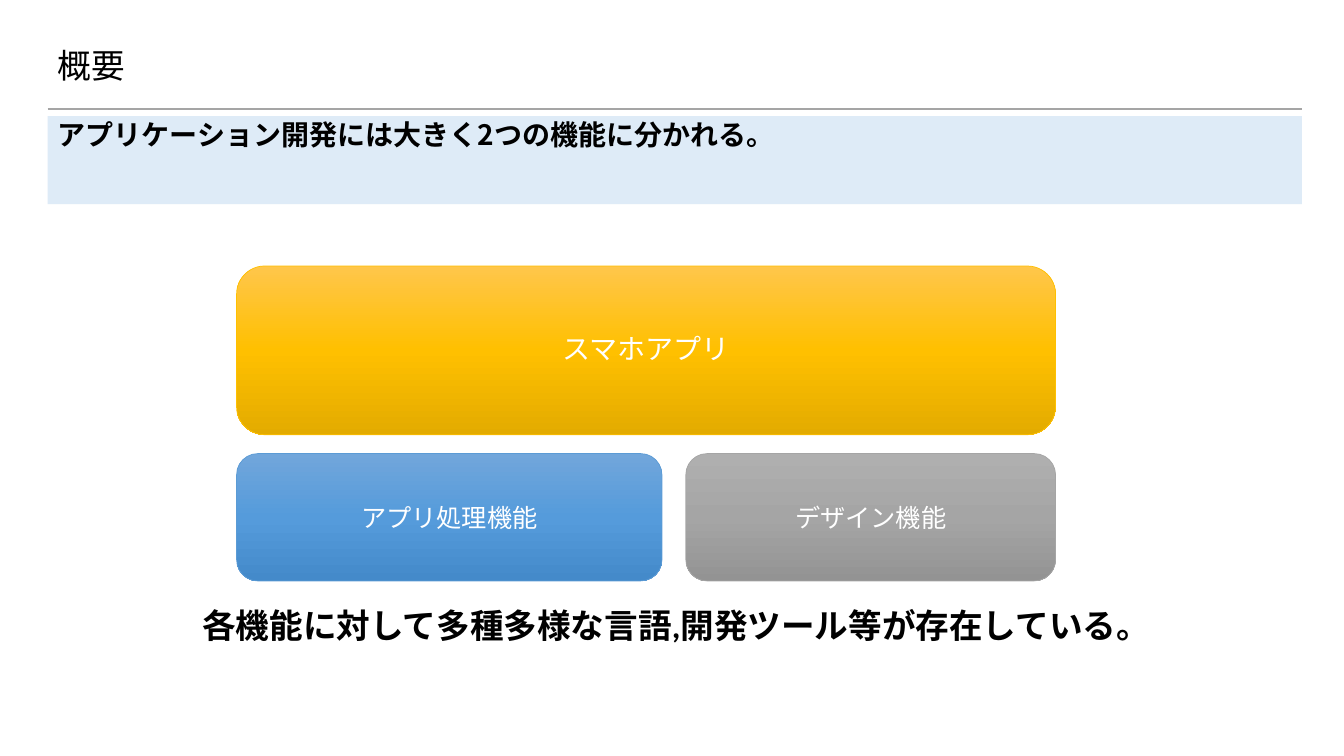
import copy
from dataclasses import dataclass

import lxml.etree
import pptx
import pptx.dml.color
import pptx.enum.lang
import pptx.enum.shapes
import pptx.enum.text
import pptx.oxml.ns
import pptx.util

Pt = pptx.util.Pt
SHAPES = pptx.enum.shapes.MSO_SHAPE
ALIGN = pptx.enum.text.PP_ALIGN
ANCHOR = pptx.enum.text.MSO_ANCHOR


@dataclass(frozen=True)
class Theme:
    """Colours, fonts and type sizes of the deck."""
    ink: str = "000000"
    white: str = "FFFFFF"
    rule: str = "A5A5A5"
    banner: str = "DEEBF7"
    gold: tuple = ("FFC64B", "FFC000", "E3AB00", "FFC000")
    blue: tuple = ("71A6DB", "559BDB", "448ACA", "5B9BD5")
    grey: tuple = ("AFAFAF", "A5A5A5", "939393", "A5A5A5")
    japanese: str = "Noto Sans CJK JP"
    latin: str = "Calibri"
    large: int = 24
    medium: int = 20
    small: int = 18


THEME = Theme()


def rgb(value):
    """Turn a hex string into a colour."""
    return pptx.dml.color.RGBColor.from_string(value)


def write(shape, text, size, color=THEME.ink, font=THEME.japanese, bold=False,
          align=ALIGN.LEFT, anchor=ANCHOR.TOP, spacing=1.0):
    """Write one formatted paragraph into a shape."""
    frame = shape.text_frame
    frame.word_wrap = True
    frame.vertical_anchor = anchor
    para = frame.paragraphs[0]
    para.alignment = align
    para.line_spacing = spacing
    span = para.add_run()
    span.text = text
    span.font.size = Pt(size)
    span.font.bold = bold
    span.font.name = font
    span.font.color.rgb = rgb(color)
    span.font.language_id = pptx.enum.lang.MSO_LANGUAGE_ID.JAPANESE
    lxml.etree.SubElement(span.font._element, pptx.oxml.ns.qn("a:ea"),
                          typeface=THEME.japanese)


def add_box(page, kind, box):
    """Add a preset shape without shadow or outline."""
    shape = page.shapes.add_shape(kind, *map(Pt, box))
    shape.shadow.inherit = False
    shape.line.fill.background()
    return shape


def add_heading(page, box, title, message):
    """Place the title, the rule and the message banner in the box."""
    left, top, width, height = box
    title_box = page.shapes.add_textbox(Pt(left), Pt(top), Pt(width), Pt(42.5))
    write(title_box, title, THEME.large, anchor=ANCHOR.MIDDLE, spacing=0.9)

    rule_top = Pt(top + 51.2)
    rule = page.shapes.add_connector(
        pptx.enum.shapes.MSO_CONNECTOR.STRAIGHT,
        Pt(left), rule_top, Pt(left + width), rule_top)
    rule.line.color.rgb = rgb(THEME.rule)
    rule.line.width = Pt(1.5)
    lxml.etree.SubElement(rule._element.spPr, pptx.oxml.ns.qn("a:effectLst"))

    banner_top = top + 56.2
    banner = add_box(page, SHAPES.RECTANGLE,
                     (left, banner_top, width, top + height - banner_top))
    banner.fill.solid()
    banner.fill.fore_color.rgb = rgb(THEME.banner)
    write(banner, message, THEME.medium, bold=True, spacing=0.9)


def add_block(page, box, text, colors, size, spacing=1.0):
    """Place a rounded block with a three-stop vertical gradient."""
    block = add_box(page, SHAPES.ROUNDED_RECTANGLE, box)
    block.fill.gradient()
    block.fill.gradient_angle = 270
    stop_list = block._element.spPr.find(".//" + pptx.oxml.ns.qn("a:gsLst"))
    stop_list.append(copy.deepcopy(stop_list[0]))
    *stop_colors, outline = colors
    for stop, color, position in zip(block.fill.gradient_stops, stop_colors, (0, 0.5, 1)):
        stop.color.rgb = rgb(color)
        stop.position = position
    block.line.color.rgb = rgb(outline)
    block.line.width = Pt(0.5)
    write(block, text, size, color=THEME.white, align=ALIGN.CENTER,
          anchor=ANCHOR.MIDDLE, spacing=spacing)


def add_structure(page, box, whole, parts):
    """Place the whole above its parts, with the parts filling the box width."""
    left, top, width, height = box
    whole_height, part_height, gap = 120.5, 91, 17
    add_block(page, (left, top, width, whole_height), whole, THEME.gold,
              THEME.medium, spacing=0.9)
    part_left = left
    for text, colors, share in parts:
        part_width = (width - gap) * share
        add_block(page, (part_left, top + height - part_height, part_width, part_height),
                  text, colors, THEME.small)
        part_left += part_width + gap


def add_conclusion(page, box, text):
    """Place the closing statement in the box."""
    closing = page.shapes.add_textbox(*map(Pt, box))
    write(closing, text, THEME.large, font=THEME.latin, bold=True)


def main():
    """Build and save the deck."""
    deck = pptx.Presentation()
    deck.slide_width, deck.slide_height = Pt(960), Pt(540)
    page = deck.slides.add_slide(deck.slide_layouts[6])
    add_heading(page, (34, 26.8, 896, 119), "概要",
                "アプリケーション開発には大きく2つの機能に分かれる。")
    add_structure(page, (169, 190, 585, 225), "スマホアプリ", [
        ("アプリ処理機能", THEME.blue, 0.535),
        ("デザイン機能", THEME.grey, 0.465),
    ])
    add_conclusion(page, (137.5, 428.5, 728.5, 36),
                   "各機能に対して多種多様な言語,開発ツール等が存在している。")
    deck.save("out.pptx")


main()
